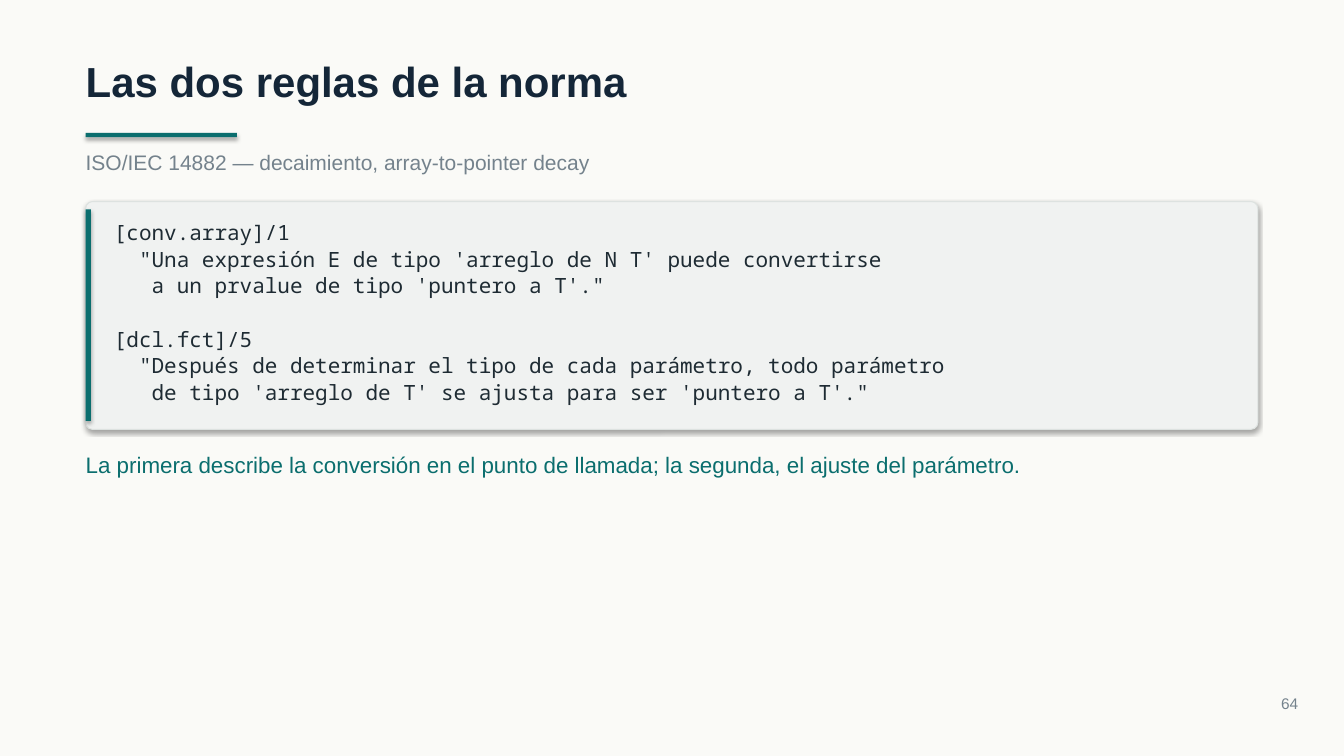
from lxml import etree
from pptx import Presentation
from pptx.dml.color import RGBColor
from pptx.enum import shapes, text
from pptx.oxml import ns
from pptx.util import Cm, Pt

COLORS = {"paper": "FAFAF7", "navy": "142638", "teal": "0B6E6E", "gray": "74828C",
          "panel": "F0F2F1", "border": "DDE2E0", "code": "1E2B33", "shadow": "000000"}
LEFT, WIDTH = 2.16, 29.54


def write(box, place, lines, size, color, font="Arial"):
    box.left, box.top, box.width, box.height = [Cm(length) for length in place]
    frame = box.text_frame
    frame.text = "\n".join(lines)
    frame.word_wrap = True
    frame.auto_size = text.MSO_AUTO_SIZE.NONE
    frame.vertical_anchor = text.MSO_ANCHOR.TOP
    frame.margin_left = frame.margin_top = frame.margin_right = frame.margin_bottom = 0
    for paragraph in frame.paragraphs:
        paragraph.alignment = text.PP_ALIGN.LEFT
        for run in paragraph.runs:
            run.font.name = font
            run.font.size = Pt(size)
            run.font.color.rgb = RGBColor.from_string(COLORS[color])
    return frame.paragraphs


def add_block(kind, place, color):
    block = slide.shapes.add_shape(kind, *[Cm(length) for length in place])
    block.shadow.inherit = False
    block.fill.solid()
    block.fill.fore_color.rgb = RGBColor.from_string(COLORS[color])
    block.line.fill.background()
    effects = block._element.spPr.find(ns.qn("a:effectLst"))
    shadow = etree.SubElement(effects, ns.qn("a:outerShdw"), blurRad=str(Pt(3.1)),
                              dist=str(Pt(1.8)), dir="5400000", rotWithShape="0")
    tint = etree.SubElement(shadow, ns.qn("a:srgbClr"), val=COLORS["shadow"])
    etree.SubElement(tint, ns.qn("a:alpha"), val="35000")
    return block


presentation = Presentation()
presentation.slide_width, presentation.slide_height = Cm(33.87), Cm(19.05)
slide = presentation.slides.add_slide(presentation.slide_layouts[5])
slide.background.fill.solid()
slide.background.fill.fore_color.rgb = RGBColor.from_string(COLORS["paper"])

heading = write(slide.shapes.title, (LEFT, 1.4, WIDTH, 1.27),
                ["Las dos reglas de la norma"], 30, "navy")
heading[0].runs[0].font.bold = True
add_block(shapes.MSO_SHAPE.RECTANGLE, (LEFT, 3.35, 3.81, 0.11), "teal")
write(slide.shapes.add_textbox(0, 0, 0, 0), (LEFT, 3.76, WIDTH, 0.64),
      ["ISO/IEC 14882 — decaimiento, array-to-pointer decay"], 15, "gray")

panel = add_block(shapes.MSO_SHAPE.ROUNDED_RECTANGLE, (LEFT, 5.08, WIDTH, 5.74), "panel")
panel.adjustments[0] = 0.03
panel.line.color.rgb = RGBColor.from_string(COLORS["border"])
panel.line.width = Pt(0.75)
add_block(shapes.MSO_SHAPE.RECTANGLE, (LEFT, 5.28, 0.13, 5.33), "teal")

rules = [
    "[conv.array]/1",
    "  \"Una expresión E de tipo 'arreglo de N T' puede convertirse",
    "   a un prvalue de tipo 'puntero a T'.\"",
    "[dcl.fct]/5",
    "  \"Después de determinar el tipo de cada parámetro, todo parámetro",
    "   de tipo 'arreglo de T' se ajusta para ser 'puntero a T'.\"",
]
rule_lines = write(slide.shapes.add_textbox(0, 0, 0, 0), (2.87, 5.49, 28.4, 4.72),
                   rules, 15, "code", "Noto Sans Mono")
for line in rule_lines:
    line.line_spacing = 1.06
rule_lines[3].space_before = Pt(19)

write(slide.shapes.add_textbox(0, 0, 0, 0), (LEFT, 11.38, WIDTH, 0.69),
      ["La primera describe la conversión en el punto de llamada; "
       "la segunda, el ajuste del parámetro."], 16, "teal")
page_number = write(slide.shapes.add_textbox(0, 0, 0, 0), (30.43, 17.48, 2.29, 0.46),
                    ["64"], 11, "gray")
page_number[0].alignment = text.PP_ALIGN.RIGHT

presentation.save("out.pptx")
